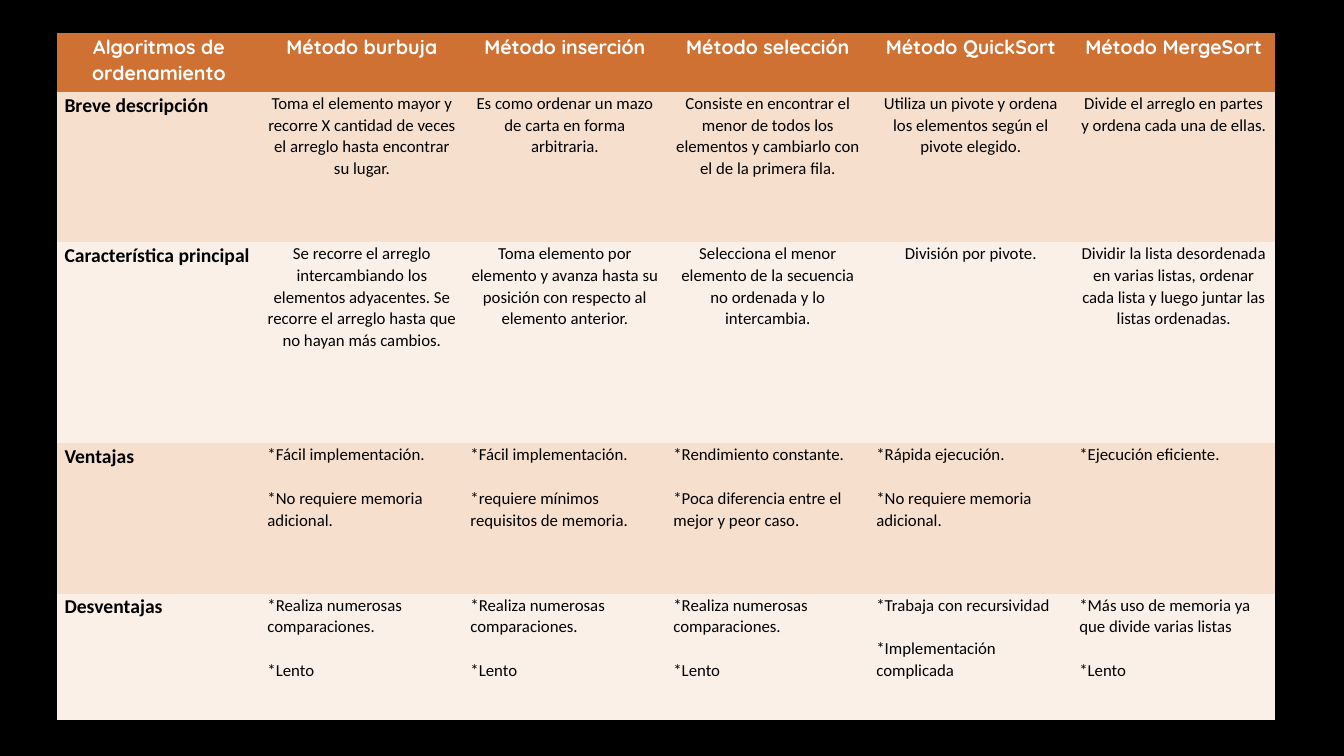
import pptx
import pptx.dml.color
import pptx.enum.text
import pptx.oxml.ns
import pptx.util

Inches, Pt = pptx.util.Inches, pptx.util.Pt
ALIGN = pptx.enum.text.PP_ALIGN

COLORS = {
    "background": "000000",
    "header": "CF7133",
    "odd_row": "F7DFCE",
    "even_row": "FBF0E8",
    "header_text": "FFFFFF",
    "body_text": "000000",
}
NO_STYLE_NO_GRID = "{2D5ABB26-0587-4C30-8999-92F81FD0307C}"
COL_WIDTH = 2.013
ROW_HEIGHTS = [0.58, 1.49, 2, 1.49, 1.25]
BLANK_LINE = 15.67  # one 12 pt line, in points

HEADERS = ["Algoritmos de ordenamiento", "Método burbuja", "Método inserción",
           "Método selección", "Método QuickSort", "Método MergeSort"]

# Row title, alignment, and the paragraphs of each method
ROWS = [
    ("Breve descripción", ALIGN.CENTER, [
        ["Toma el elemento mayor y recorre X cantidad de veces el arreglo "
         "hasta encontrar su lugar."],
        ["Es como ordenar un mazo de carta en forma arbitraria."],
        ["Consiste en encontrar el menor de todos los elementos y cambiarlo "
         "con el de la primera fila."],
        ["Utiliza un pivote y ordena los elementos según el pivote elegido."],
        ["Divide el arreglo en partes y ordena cada una de ellas."],
    ]),
    ("Característica principal", ALIGN.CENTER, [
        ["Se recorre el arreglo intercambiando los elementos adyacentes. "
         "Se recorre el arreglo hasta que no hayan más cambios."],
        ["Toma elemento por elemento y avanza hasta su posición con respecto "
         "al elemento anterior."],
        ["Selecciona el menor elemento de la secuencia no ordenada y lo "
         "intercambia."],
        ["División por pivote."],
        ["Dividir la lista desordenada en varias listas, ordenar cada lista y "
         "luego juntar las listas ordenadas."],
    ]),
    ("Ventajas", ALIGN.LEFT, [
        ["*Fácil implementación.", "*No requiere memoria adicional."],
        ["*Fácil implementación.", "*requiere mínimos requisitos de memoria."],
        ["*Rendimiento constante.",
         "*Poca diferencia entre el mejor y peor caso."],
        ["*Rápida ejecución.", "*No requiere memoria adicional."],
        ["*Ejecución eficiente."],
    ]),
    ("Desventajas", ALIGN.LEFT, [
        ["*Realiza numerosas comparaciones.", "*Lento"],
        ["*Realiza numerosas comparaciones.", "*Lento"],
        ["*Realiza numerosas comparaciones.", "*Lento"],
        ["*Trabaja con recursividad", "*Implementación complicada"],
        ["*Más uso de memoria ya que divide varias listas", "*Lento"],
    ]),
]


def rgb(name):
    return pptx.dml.color.RGBColor.from_string(COLORS[name])


def write_text(tf, paragraphs, font="Calibri", size=12, bold=False,
               color="body_text", align=ALIGN.LEFT):
    for i, text in enumerate(paragraphs):
        p = tf.add_paragraph() if i else tf.paragraphs[0]
        p.alignment = align
        p.line_spacing = 1.07
        if i:
            p.space_before = Pt(BLANK_LINE)
        r = p.add_run()
        r.text = text
        r.font.name = font
        r.font.size = Pt(size)
        r.font.bold = bold
        r.font.color.rgb = rgb(color)


def fill_cell(cell, fill, paragraphs, **text_format):
    cell.fill.solid()
    cell.fill.fore_color.rgb = rgb(fill)
    cell.margin_left = cell.margin_right = Inches(0.07)
    cell.margin_top = cell.margin_bottom = Inches(0)
    write_text(cell.text_frame, paragraphs, **text_format)


def add_plain_table(s, left, top):
    n_cols = len(HEADERS)
    frame = s.shapes.add_table(
        len(ROW_HEIGHTS), n_cols, Inches(left), Inches(top),
        Inches(COL_WIDTH * n_cols), Inches(sum(ROW_HEIGHTS)))
    # Style without borders
    for style in frame.element.iter(pptx.oxml.ns.qn("a:tableStyleId")):
        style.text = NO_STYLE_NO_GRID
    table = frame.table
    for col in table.columns:
        col.width = Inches(COL_WIDTH)
    for row, height in zip(table.rows, ROW_HEIGHTS):
        row.height = Inches(height)
    return table


def main():
    prs = pptx.Presentation()
    prs.slide_width, prs.slide_height = Inches(13.33), Inches(7.5)
    s = prs.slides.add_slide(prs.slide_layouts[6])
    s.background.fill.solid()
    s.background.fill.fore_color.rgb = rgb("background")

    table = add_plain_table(s, 0.57, 0.33)

    # Header row
    for c, header in enumerate(HEADERS):
        fill_cell(table.cell(0, c), "header", [header], font="Quicksand",
                  size=14, bold=True, color="header_text", align=ALIGN.CENTER)

    # Body rows in alternating bands
    for i, (title, align, methods) in enumerate(ROWS, start=1):
        band = "odd_row" if i % 2 else "even_row"
        fill_cell(table.cell(i, 0), band, [title], size=14, bold=True)
        for c, paragraphs in enumerate(methods, start=1):
            fill_cell(table.cell(i, c), band, paragraphs, align=align)

    prs.save("out.pptx")


if __name__ == "__main__":
    main()
